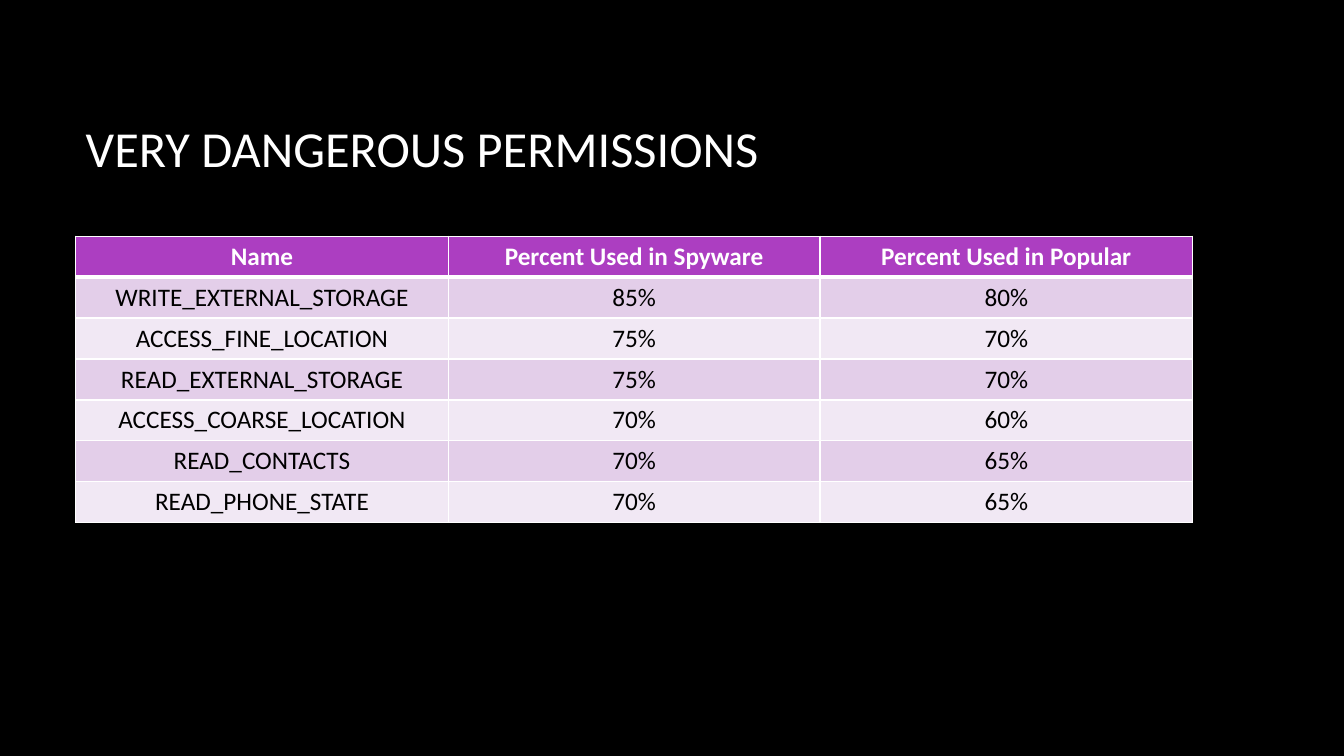
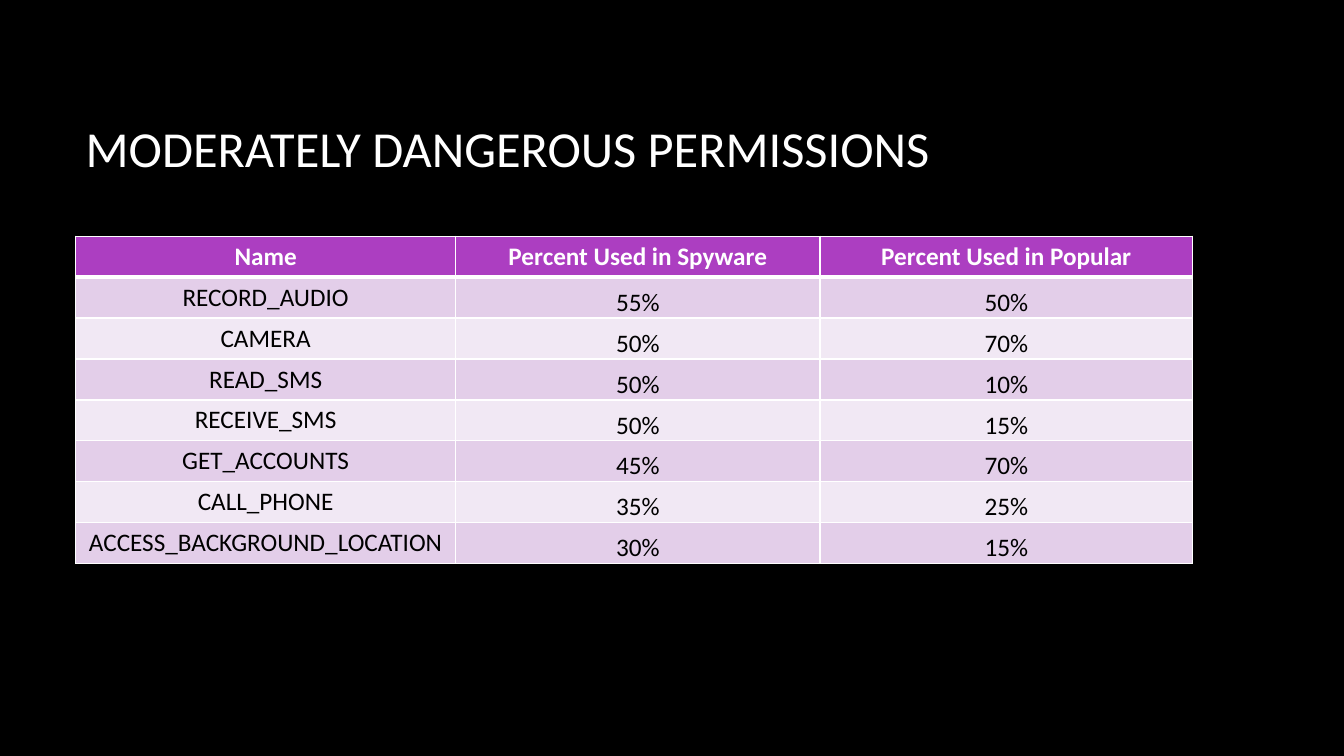
from dataclasses import dataclass
from lxml import etree
from pptx import Presentation
from pptx.dml.color import RGBColor
from pptx.enum.text import MSO_ANCHOR, PP_ALIGN
from pptx.oxml.ns import qn
from pptx.util import Emu, Pt

LEFT = PP_ALIGN.LEFT
CENTER = PP_ALIGN.CENTER
TOP = MSO_ANCHOR.TOP
MIDDLE = MSO_ANCHOR.MIDDLE
BOTTOM = MSO_ANCHOR.BOTTOM

EMU_PER_PX = 9525
EMU_PER_PT = 12700
TITLE_ONLY = 5


@dataclass(frozen=True)
class Theme:
    """Colours, type sizes and line widths of the deck."""
    font: str = "Calibri"
    background: str = "000000"
    light_text: str = "FFFFFF"
    dark_text: str = "000000"
    header: str = "AC3EC1"
    bands: tuple[str, str] = ("E3CEE9", "F1E8F4")
    border: str = "FFFFFF"
    title_size: int = 36
    table_size: int = 18
    thin: int = 1
    thick: int = 3


@dataclass(frozen=True)
class Box:
    """A rectangle in px."""
    left: int
    top: int
    width: int
    height: int


@dataclass(frozen=True)
class Permission:
    """A permission with its shares in spyware and popular apps."""
    name: str
    spyware: int
    popular: int


@dataclass(frozen=True)
class PermissionPage:
    """The content of one slide."""
    title: str
    columns: tuple[int, ...]
    permissions: tuple[Permission, ...]
    low_values: bool = False


THEME = Theme()
SLIDE = Box(0, 0, 1280, 720)
TITLE = Box(72, 64, 1064, 153)
TABLE = Box(72, 225, 1064, 39)
HEADINGS = ("Name", "Percent Used in Spyware", "Percent Used in Popular")

PAGES = (
    PermissionPage("VERY DANGEROUS PERMISSIONS", (355, 354, 355), (
        Permission("WRITE_EXTERNAL_STORAGE", 85, 80),
        Permission("ACCESS_FINE_LOCATION", 75, 70),
        Permission("READ_EXTERNAL_STORAGE", 75, 70),
        Permission("ACCESS_COARSE_LOCATION", 70, 60),
        Permission("READ_CONTACTS", 70, 65),
        Permission("READ_PHONE_STATE", 70, 65),
    )),
    PermissionPage("MODERATELY DANGEROUS PERMISSIONS", (362, 347, 355), (
        Permission("RECORD_AUDIO", 55, 50),
        Permission("CAMERA", 50, 70),
        Permission("READ_SMS", 50, 10),
        Permission("RECEIVE_SMS", 50, 15),
        Permission("GET_ACCOUNTS", 45, 70),
        Permission("CALL_PHONE", 35, 25),
        Permission("ACCESS_BACKGROUND_LOCATION", 30, 15),
    ), low_values=True),
)


def px(length: int) -> Emu:
    """Turn px into EMU."""
    return Emu(length * EMU_PER_PX)


def style_text(frame, size: int, color: str, align, bold: bool = False) -> None:
    """Format every run of a text frame."""
    for para in frame.paragraphs:
        para.alignment = align
        for span in para.runs:
            span.font.name = THEME.font
            span.font.size = Pt(size)
            span.font.bold = bold
            span.font.color.rgb = RGBColor.from_string(color)


def set_borders(cell, top: int, bottom: int) -> None:
    """Draw the four borders of a cell with the given top and bottom widths."""
    properties = cell._tc.get_or_add_tcPr()
    widths = {"a:lnL": THEME.thin, "a:lnR": THEME.thin, "a:lnT": top, "a:lnB": bottom}
    for position, (tag, width) in enumerate(widths.items()):
        line = etree.Element(qn(tag), w=str(width * EMU_PER_PT))
        fill = etree.SubElement(line, qn("a:solidFill"))
        etree.SubElement(fill, qn("a:srgbClr"), val=THEME.border)
        properties.insert(position, line)


def fill_cell(cell, text: str, row: int) -> None:
    """Write and format one table cell according to its row."""
    header = row == 0
    color = THEME.header if header else THEME.bands[(row - 1) % 2]
    cell.fill.solid()
    cell.fill.fore_color.rgb = RGBColor.from_string(color)
    cell.vertical_anchor = TOP
    cell.text_frame.text = text
    text_color = THEME.light_text if header else THEME.dark_text
    style_text(cell.text_frame, THEME.table_size, text_color, CENTER, header)
    set_borders(cell, THEME.thick if row == 1 else THEME.thin,
                THEME.thick if header else THEME.thin)


def lower_value(cell) -> None:
    """Rest the text of a cell on its bottom edge."""
    cell.vertical_anchor = BOTTOM
    cell.margin_left = cell.margin_right = cell.margin_top = px(1)
    cell.margin_bottom = px(0)


def add_permission_table(page, content: PermissionPage) -> None:
    """Add the table of permissions to a slide."""
    rows = [HEADINGS] + [
        (item.name, f"{item.spyware}%", f"{item.popular}%") for item in content.permissions
    ]
    table = page.shapes.add_table(
        len(rows), len(HEADINGS), px(TABLE.left), px(TABLE.top),
        px(TABLE.width), px(TABLE.height * len(rows))).table
    for column, width in zip(table.columns, content.columns):
        column.width = px(width)
    for row, texts in enumerate(rows):
        table.rows[row].height = px(TABLE.height)
        for column, text in enumerate(texts):
            cell = table.cell(row, column)
            fill_cell(cell, text, row)
            if content.low_values and row and column:
                lower_value(cell)


def prepare_layout(layout) -> None:
    """Set the shared background and title position."""
    layout.background.fill.solid()
    layout.background.fill.fore_color.rgb = RGBColor.from_string(THEME.background)
    title = layout.placeholders[0]
    title.left, title.top = px(TITLE.left), px(TITLE.top)
    title.width, title.height = px(TITLE.width), px(TITLE.height)
    title.text_frame.vertical_anchor = MIDDLE


def add_page(deck, layout, content: PermissionPage) -> None:
    """Add one slide with its title and table."""
    page = deck.slides.add_slide(layout)
    frame = page.shapes.title.text_frame
    frame.text = content.title
    style_text(frame, THEME.title_size, THEME.light_text, LEFT)
    add_permission_table(page, content)


def main() -> None:
    """Build and save the deck."""
    deck = Presentation()
    deck.slide_width, deck.slide_height = px(SLIDE.width), px(SLIDE.height)
    layout = deck.slide_layouts[TITLE_ONLY]
    prepare_layout(layout)
    for content in PAGES:
        add_page(deck, layout, content)
    deck.save("out.pptx")


if __name__ == "__main__":
    main()
